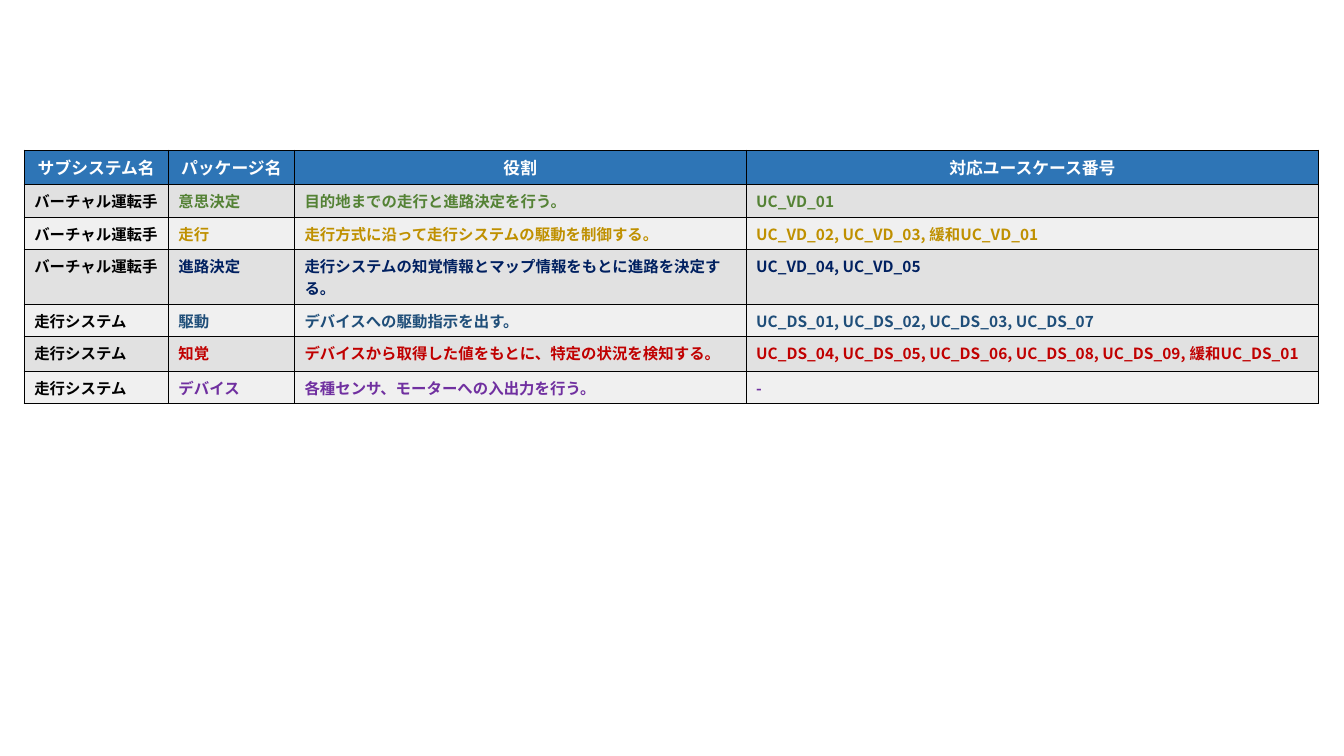
"""Build a slide with a table of subsystems, packages, roles and use cases."""
from lxml.etree import SubElement as Sub
from pptx import Presentation
from pptx.dml.color import RGBColor as RGB
from pptx.enum.text import PP_ALIGN as Align
from pptx.oxml.ns import qn
from pptx.util import Inches, Pt

FONT = "Noto Sans CJK JP"
BLACK, WHITE = RGB(0, 0, 0), RGB(255, 255, 255)
BLUE = RGB(0x2E, 0x75, 0xB6)
BANDS = RGB(0xE1, 0xE1, 0xE1), RGB(0xF0, 0xF0, 0xF0)
GREEN, GOLD = RGB(0x54, 0x82, 0x35), RGB(0xBF, 0x90, 0x00)
NAVY, STEEL = RGB(0x00, 0x20, 0x60), RGB(0x1F, 0x4E, 0x79)
RED, PURPLE = RGB(0xC0, 0, 0), RGB(0x70, 0x30, 0xA0)

HEAD = ["サブシステム名", "パッケージ名", "役割", "対応ユースケース番号"]
DRIVER, SYSTEM = "バーチャル運転手", "走行システム"
ROWS = [
    (GREEN, DRIVER, "意思決定", "目的地までの走行と進路決定を行う。", "UC_VD_01"),
    (GOLD, DRIVER, "走行", "走行方式に沿って走行システムの駆動を制御する。",
     "UC_VD_02, UC_VD_03, 緩和UC_VD_01"),
    (NAVY, DRIVER, "進路決定",
     "走行システムの知覚情報とマップ情報をもとに進路を決定する。",
     "UC_VD_04, UC_VD_05"),
    (STEEL, SYSTEM, "駆動", "デバイスへの駆動指示を出す。",
     "UC_DS_01, UC_DS_02, UC_DS_03, UC_DS_07"),
    (RED, SYSTEM, "知覚",
     "デバイスから取得した値をもとに、特定の状況を検知する。",
     "UC_DS_04, UC_DS_05, UC_DS_06, UC_DS_08, UC_DS_09, 緩和UC_DS_01"),
    (PURPLE, SYSTEM, "デバイス", "各種センサ、モーターへの入出力を行う。", "-"),
]
LEFT, TOP = 0.24, 1.49
WIDTHS = [1.43, 1.25, 4.48, 5.68]
HEIGHTS = [0.3, 0.28, 0.28, 0.29, 0.28, 0.34, 0.28]


def border(cell):
    props = cell._tc.get_or_add_tcPr()
    for side in "LRTB":
        line = Sub(props, qn(f"a:ln{side}"), w=str(Pt(1)))
        Sub(Sub(line, qn("a:solidFill")), qn("a:srgbClr"), val=str(BLACK))


def write(cell, text, size, color, fill, align):
    border(cell)
    cell.fill.solid()
    cell.fill.fore_color.rgb = fill
    cell.text_frame.text = text
    para = cell.text_frame.paragraphs[0]
    para.alignment = align
    font = para.runs[0].font
    font.name, font.size, font.bold = FONT, Pt(size), True
    font.color.rgb = color
    Sub(font._element, qn("a:ea"), typeface=FONT)


def main():
    deck = Presentation()
    deck.slide_width, deck.slide_height = Inches(13.33), Inches(7.5)
    slide = deck.slides.add_slide(deck.slide_layouts[6])
    box = [Inches(v) for v in (LEFT, TOP, sum(WIDTHS), sum(HEIGHTS))]
    table = slide.shapes.add_table(len(HEIGHTS), len(WIDTHS), *box).table
    for col, width in zip(table.columns, WIDTHS):
        col.width = Inches(width)
    for row, height in zip(table.rows, HEIGHTS):
        row.height = Inches(height)
    for c, text in enumerate(HEAD):
        write(table.cell(0, c), text, 12, WHITE, BLUE, Align.CENTER)
    for r, (tint, *texts) in enumerate(ROWS):
        for c, text in enumerate(texts):
            color = tint if c else BLACK
            write(table.cell(r + 1, c), text, 11, color, BANDS[r % 2], Align.LEFT)
    deck.save("out.pptx")


if __name__ == "__main__":
    main()
